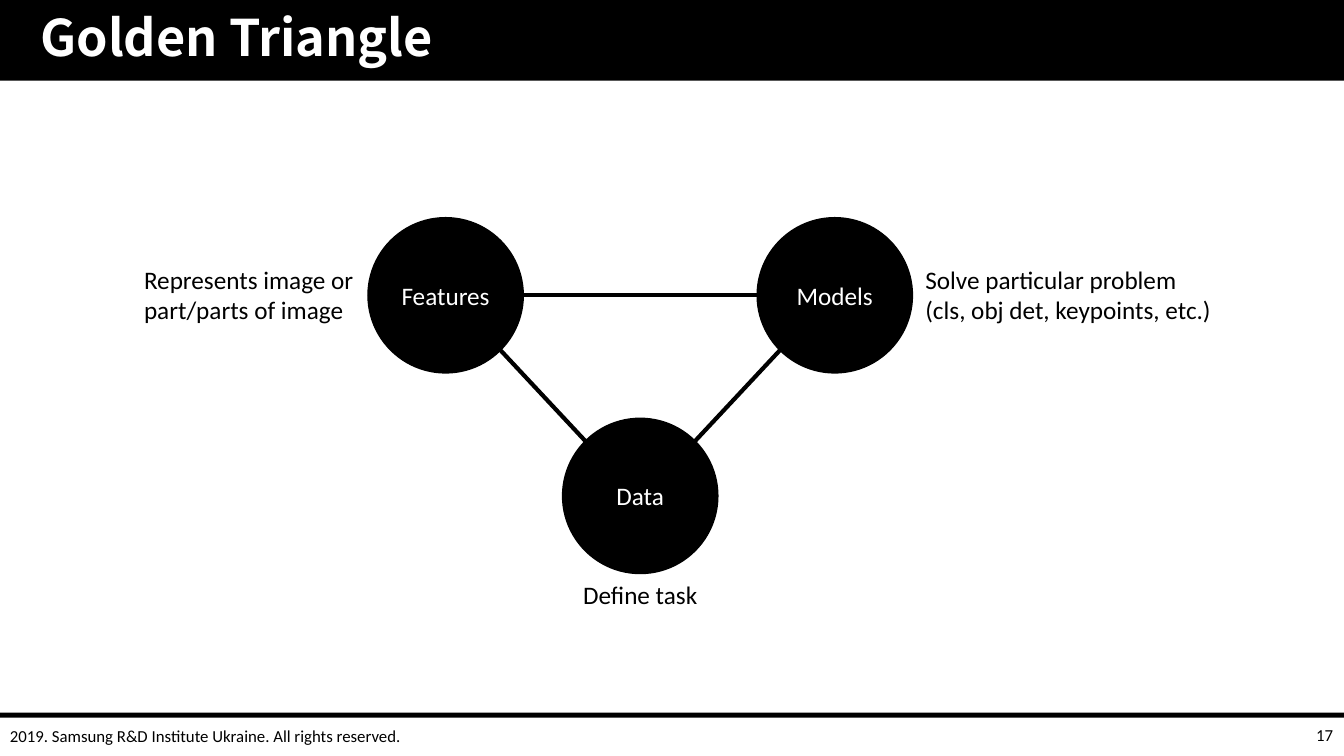
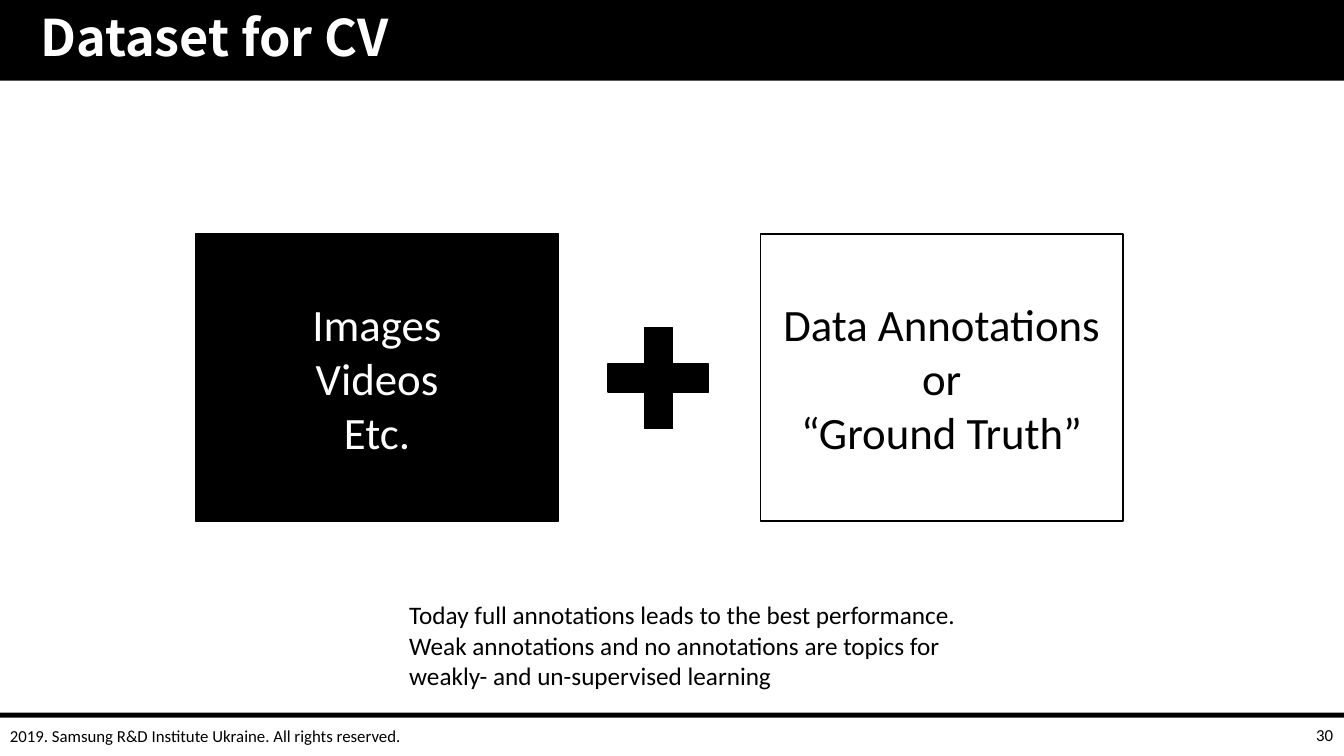
from math import copysign, hypot

from lxml.etree import SubElement
from pptx import Presentation
from pptx.dml.color import RGBColor
from pptx.enum.shapes import MSO_CONNECTOR as Connector, MSO_SHAPE as Shape
from pptx.enum.text import MSO_ANCHOR as Anchor, MSO_AUTO_SIZE as AutoSize, PP_ALIGN as Align
from pptx.oxml.ns import qn
from pptx.util import Inches, Pt

BLACK, WHITE = "000000", "FFFFFF"
BODY_FONT, TITLE_FONT = "Calibri", "Noto Sans CJK KR"
SLIDE_W, SLIDE_H = 13.33, 7.5
BANDS = [(0, 0, SLIDE_W, 0.8), (0, 7.07, SLIDE_W, 0.05)]
COPYRIGHT = "2019. Samsung R&D Institute Ukraine. All rights reserved."

DIAMETER = 1.54
NODES = {"Features": (4.42, 2.93), "Models": (8.28, 2.93), "Data": (6.35, 4.92)}
LINKS = [("Features", "Models"), ("Models", "Data"), ("Features", "Data")]
NODE_NOTES = [
    ("Represents image or part/parts of image", (1.33, 2.57, 2.29, 0.71), Align.LEFT),
    ("Solve particular problem (cls, obj det, keypoints, etc.)", (9.08, 2.57, 3.07, 0.71), Align.LEFT),
    ("Define task", (5.58, 5.7, DIAMETER, 0.4), Align.CENTER),
]

PARTS = [
    (["Images", "Videos", "Etc."], BLACK, WHITE),
    (["Data Annotations", "or", "“Ground Truth”"], WHITE, BLACK),
]
PART_LEFT, PART_TOP, PART_W, PART_H, PART_GAP = 1.94, 2.32, 3.6, 2.85, 2
PLUS_BOX = (6.03, 3.25, 1, 1)
TAKEAWAY = [
    "Today full annotations leads to the best performance.",
    "Weak annotations and no annotations are topics for weakly- and un-supervised learning",
]
TAKEAWAY_BOX = (3.96, 5.9, 6.15, 1.01)


def rgb(hex_color):
    return RGBColor.from_string(hex_color)


def write(frame, lines, size=18, color=BLACK, font=BODY_FONT, bold=False,
          align=Align.LEFT, anchor=Anchor.TOP, indent=0, spacing=1):
    frame.word_wrap = True
    frame.auto_size = AutoSize.NONE
    frame.vertical_anchor = anchor
    frame.text = "\n".join(lines)
    for paragraph in frame.paragraphs:
        paragraph.alignment = align
        paragraph.line_spacing = spacing
        if indent:
            properties = paragraph._p.get_or_add_pPr()
            properties.set("marL", str(Inches(indent)))
            properties.set("indent", "0")
        for run in paragraph.runs:
            run.font.name = font
            run.font.size = Pt(size)
            run.font.bold = bold
            run.font.color.rgb = rgb(color)


def add_label(slide, lines, box, **style):
    label = slide.shapes.add_textbox(*map(Inches, box))
    write(label.text_frame, lines, **style)
    return label


def add_block(slide, kind, box, fill=BLACK, outline=True):
    block = slide.shapes.add_shape(kind, *map(Inches, box))
    block.shadow.inherit = False
    block.fill.solid()
    block.fill.fore_color.rgb = rgb(fill)
    if outline:
        block.line.color.rgb = rgb(BLACK)
        block.line.width = Pt(1)
    else:
        block.line.fill.background()
    return block


def add_link(slide, start, end):
    dx, dy = end[0] - start[0], end[1] - start[1]
    step_x = copysign(1, dx) if dx else 0
    step_y = copysign(1, dy) if dy else 0
    reach = DIAMETER / 2 / hypot(step_x, step_y)
    ends = (start[0] + step_x * reach, start[1] + step_y * reach,
            end[0] - step_x * reach, end[1] - step_y * reach)
    link = slide.shapes.add_connector(Connector.STRAIGHT, *map(Inches, ends))
    link.line.color.rgb = rgb(BLACK)
    link.line.width = Pt(3)
    SubElement(link._element.spPr, qn("a:effectLst"))


def share_frame(slide):
    shared = [add_block(slide, Shape.RECTANGLE, box, outline=False) for box in BANDS]
    shared.append(add_label(slide, [COPYRIGHT], (0, 7.1, 4.3, 0.4), size=12, anchor=Anchor.MIDDLE))
    layout_tree = slide.slide_layout.shapes.element
    for position, part in enumerate(shared, start=2):
        layout_tree.insert(position, part.element)


def start_slide(deck, title_text, number):
    slide = deck.slides.add_slide(deck.slide_layouts[5])
    title = slide.shapes.title
    title.left, title.top, title.width, title.height = map(Inches, (0, 0, 11.55, 0.8))
    write(title.text_frame, [title_text], size=36, color=WHITE, font=TITLE_FONT,
          bold=True, anchor=Anchor.MIDDLE, indent=0.3, spacing=0.9)
    add_label(slide, [number], (10.32, 7.09, 3, 0.4), size=12,
              align=Align.RIGHT, anchor=Anchor.MIDDLE)
    return slide


def build_triangle(deck):
    slide = start_slide(deck, "Golden Triangle", "17")
    share_frame(slide)
    for name, (x, y) in NODES.items():
        box = (x - DIAMETER / 2, y - DIAMETER / 2, DIAMETER, DIAMETER)
        node = add_block(slide, Shape.OVAL, box)
        write(node.text_frame, [name], color=WHITE, align=Align.CENTER, anchor=Anchor.MIDDLE)
    for start, end in LINKS:
        add_link(slide, NODES[start], NODES[end])
    for note, box, align in NODE_NOTES:
        add_label(slide, [note], box, align=align)


def build_dataset(deck):
    slide = start_slide(deck, "Dataset for CV", "30")
    for column, (lines, fill, color) in enumerate(PARTS):
        left = PART_LEFT + column * (PART_W + PART_GAP)
        part = add_block(slide, Shape.RECTANGLE, (left, PART_TOP, PART_W, PART_H), fill)
        write(part.text_frame, lines, size=32, color=color, align=Align.CENTER, anchor=Anchor.MIDDLE)
    plus = add_block(slide, Shape.CROSS, PLUS_BOX)
    plus.adjustments[0] = 0.36
    add_label(slide, TAKEAWAY, TAKEAWAY_BOX)


def main():
    deck = Presentation()
    deck.slide_width, deck.slide_height = Inches(SLIDE_W), Inches(SLIDE_H)
    build_triangle(deck)
    build_dataset(deck)
    deck.save("out.pptx")


if __name__ == "__main__":
    main()
